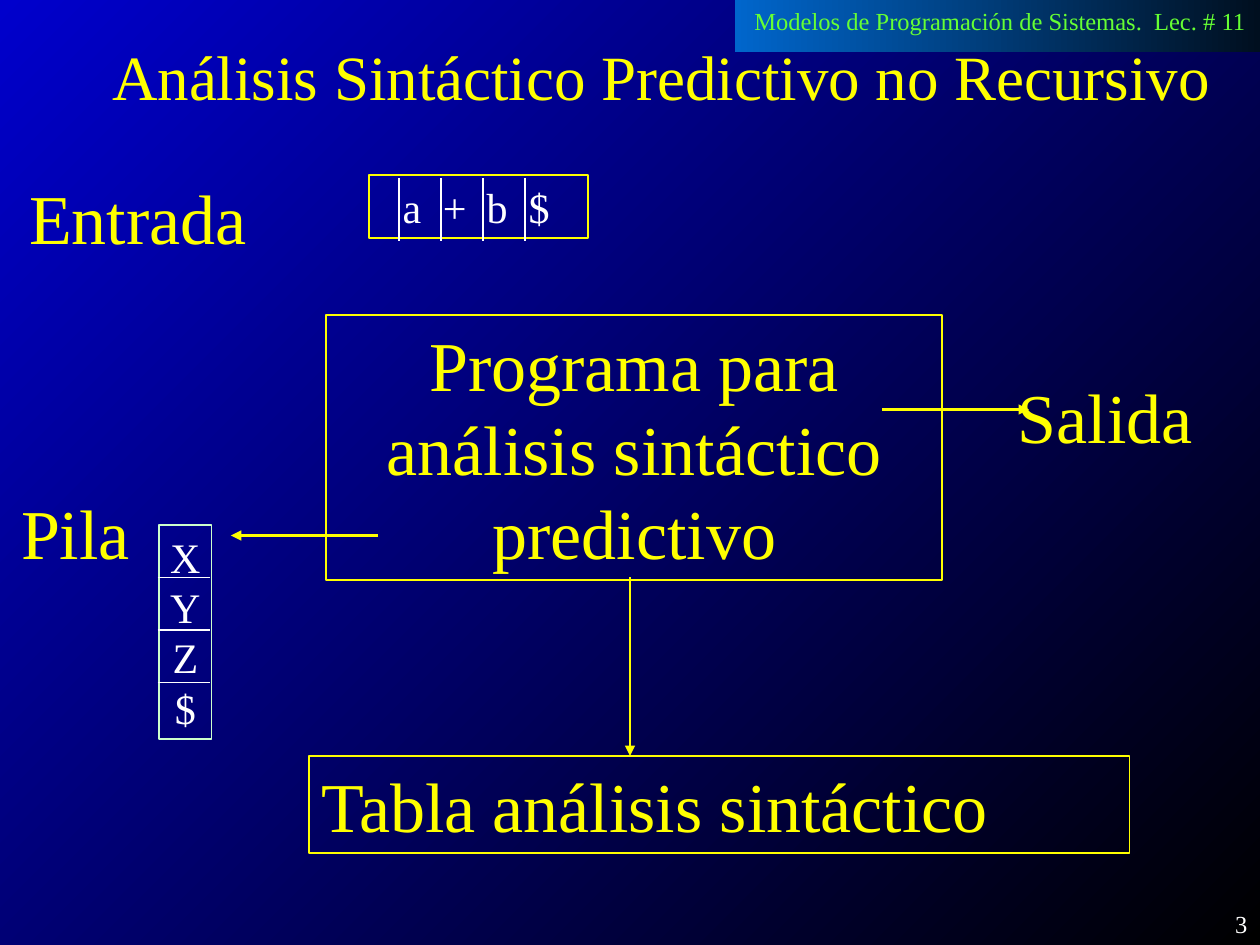
"""Build the slide on non-recursive predictive parsing."""
from dataclasses import dataclass
from typing import Optional

from lxml import etree
from pptx import Presentation
from pptx.dml.color import RGBColor
from pptx.dml.fill import FillFormat
from pptx.enum.shapes import MSO_CONNECTOR, MSO_SHAPE
from pptx.enum.text import MSO_ANCHOR, MSO_AUTO_SIZE, PP_ALIGN
from pptx.oxml.ns import qn
from pptx.shapes.autoshape import Shape
from pptx.slide import Slide
from pptx.util import Pt

LEFT, CENTER, RIGHT = PP_ALIGN.LEFT, PP_ALIGN.CENTER, PP_ALIGN.RIGHT
TOP, NO_FIT = MSO_ANCHOR.TOP, MSO_AUTO_SIZE.NONE
RECTANGLE, STRAIGHT = MSO_SHAPE.RECTANGLE, MSO_CONNECTOR.STRAIGHT

YELLOW = RGBColor(0xFF, 0xFF, 0x00)
WHITE = RGBColor(0xFF, 0xFF, 0xFF)
GREEN = RGBColor(0x66, 0xFF, 0x33)
PALE_GREEN = RGBColor(0xCC, 0xFF, 0xCC)
BLACK = RGBColor(0x00, 0x00, 0x00)
BLUE = RGBColor(0x00, 0x00, 0xCC)
NIGHT = RGBColor(0x00, 0x0F, 0x1F)
SKY = RGBColor(0x00, 0x66, 0xCC)

FONT = "Times New Roman"
LINE_HEIGHT = 1.2


@dataclass(frozen=True)
class Label:
    text: str
    left: float
    top: float
    width: float
    height: float
    size: float = 40
    color: RGBColor = YELLOW
    align: PP_ALIGN = LEFT
    border: Optional[RGBColor] = None
    wrap: bool = True
    tabs: tuple[float, ...] = ()


@dataclass(frozen=True)
class Stroke:
    start: tuple[float, float]
    end: tuple[float, float]
    color: RGBColor = WHITE
    width: float = 1
    arrow: bool = False


TITLE = Label("Análisis Sintáctico Predictivo no Recursivo", 36, 18, 684, 60, 36, align=CENTER)
LABELS = (
    Label("Modelos de Programación de Sistemas.  Lec. # 11", 424, 0, 296, 24.5, 14, GREEN, wrap=False),
    Label("Entrada", 9.5, 96, 167, 55.5),
    Label("Pila", 5, 276, 86, 55.5),
    Label("Tabla análisis sintáctico", 176.5, 432, 469, 55.5, border=YELLOW),
    Label("Salida", 574.5, 210, 130, 55.5),
    Label("Programa para\nanálisis sintáctico\npredictivo", 186.5, 180, 352, 151.5,
          align=CENTER, border=YELLOW),
    Label("X\nY\nZ\n$", 91, 300, 30, 122.5, 24, WHITE, CENTER, PALE_GREEN, wrap=False),
    Label("\ta\t+\tb\t$", 211, 100, 125, 36, 24, WHITE, border=YELLOW, tabs=(12, 35, 60, 84)),
    Label("3", 570, 516, 150, 24, 14, WHITE, RIGHT),
)
ARROWS = tuple(
    Stroke(start, end, YELLOW, 1.5, True)
    for start, end in (
        ((360, 330), (360, 432)),
        ((504, 234), (588, 234)),
        ((216, 306), (132, 306)),
    )
)
INPUT_DIVIDERS = tuple(Stroke((x, 102), (x, 138)) for x in range(228, 301, 24))
STACK_DIVIDERS = tuple(Stroke((90, y), (120, y)) for y in range(330, 391, 30))


def set_values(target: object, values: dict) -> None:
    """Set each named attribute of the target."""
    for name, value in values.items():
        setattr(target, name, value)


def fill_gradient(fill: FillFormat, colors: tuple[RGBColor, RGBColor], angle: float) -> None:
    """Fill with a two-colour linear gradient."""
    fill.gradient()
    fill.gradient_angle = angle
    for stop, color, position in zip(fill.gradient_stops, colors, (0, 1)):
        stop.color.rgb = color
        stop.position = position


def write_label(box: Shape, label: Label) -> None:
    """Place a box and write its formatted text."""
    set_values(box, {name: Pt(getattr(label, name)) for name in ("left", "top", "width", "height")})
    frame = box.text_frame
    frame.text = label.text
    set_values(frame, {
        "word_wrap": label.wrap, "auto_size": NO_FIT, "vertical_anchor": TOP,
        "margin_left": Pt(7.2), "margin_right": Pt(7.2),
        "margin_top": Pt(3.6), "margin_bottom": Pt(3.6),
    })
    for para in frame.paragraphs:
        set_values(para, {
            "alignment": label.align, "line_spacing": Pt(label.size * LINE_HEIGHT),
            "space_before": Pt(0), "space_after": Pt(0),
        })
        if label.tabs:
            tab_list = etree.SubElement(para._p.get_or_add_pPr(), qn("a:tabLst"))
            for position in label.tabs:
                etree.SubElement(tab_list, qn("a:tab"), pos=str(Pt(position)), algn="l")
        for span in para.runs:
            set_values(span.font, {"name": FONT, "size": Pt(label.size), "bold": False})
            span.font.color.rgb = label.color


def add_label(page: Slide, label: Label) -> None:
    """Add a text box, framed when the label has a border."""
    if label.border is None:
        box = page.shapes.add_textbox(0, 0, 0, 0)
    else:
        box = page.shapes.add_shape(RECTANGLE, 0, 0, 0, 0)
        box.shadow.inherit = False
        box.fill.background()
        box.line.color.rgb = label.border
        box.line.width = Pt(1)
    write_label(box, label)


def add_stroke(page: Slide, stroke: Stroke) -> None:
    """Add a straight line with an optional arrowhead."""
    points = (Pt(value) for value in (*stroke.start, *stroke.end))
    connector = page.shapes.add_connector(STRAIGHT, *points)
    connector.line.color.rgb = stroke.color
    connector.line.width = Pt(stroke.width)
    if stroke.arrow:
        etree.SubElement(connector.line._get_or_add_ln(), qn("a:tailEnd"), type="triangle")
    etree.SubElement(connector._element.spPr, qn("a:effectLst"))


def main() -> None:
    """Build and save the deck."""
    deck = Presentation()
    set_values(deck, {"slide_width": Pt(720), "slide_height": Pt(540)})
    page = deck.slides.add_slide(deck.slide_layouts[5])
    fill_gradient(page.background.fill, (BLACK, BLUE), 135)
    band = page.shapes.add_shape(RECTANGLE, Pt(420), Pt(0), Pt(300), Pt(30))
    band.shadow.inherit = False
    band.line.fill.background()
    fill_gradient(band.fill, (NIGHT, SKY), 180)
    write_label(page.shapes.title, TITLE)
    for label in LABELS:
        add_label(page, label)
    for stroke in ARROWS + INPUT_DIVIDERS + STACK_DIVIDERS:
        add_stroke(page, stroke)
    deck.save("out.pptx")


if __name__ == "__main__":
    main()
